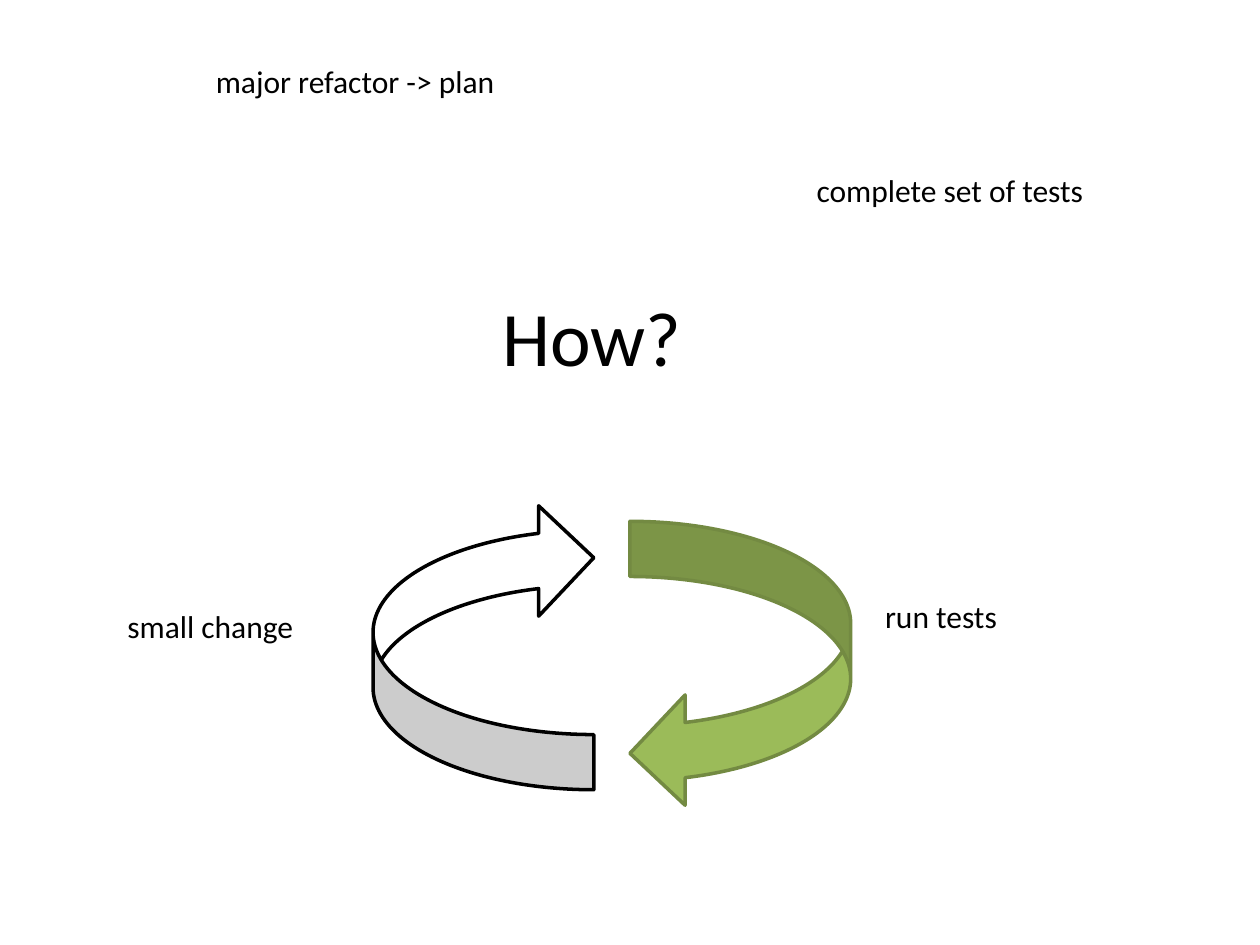
from pptx import Presentation
from pptx.dml.color import RGBColor
from pptx.enum.shapes import MSO_SHAPE
from pptx.enum.text import MSO_ANCHOR, PP_ALIGN
from pptx.util import Cm, Pt

LABEL_W, LABEL_H = 8.48, 2.21
ARROW_W, ARROW_H = 4.45, 5.79


def rgb(value):
    """Return the colour for a hex string."""
    return RGBColor.from_string(value)


def add_text(s, text, x, y, w=LABEL_W, h=LABEL_H, size=18):
    """Add a centred, top-anchored line of text."""
    tf = s.shapes.add_textbox(Cm(x), Cm(y), Cm(w), Cm(h)).text_frame
    tf.word_wrap = True
    tf.vertical_anchor = MSO_ANCHOR.TOP
    tf.text = text
    p = tf.paragraphs[0]
    p.alignment = PP_ALIGN.CENTER
    font = p.runs[0].font
    font.name, font.size = "Calibri", Pt(size)
    font.color.rgb = rgb("000000")


def add_arrow(s, x, y, fill, line, rotation=0):
    """Add one curved half of the cycle."""
    sp = s.shapes.add_shape(MSO_SHAPE.CURVED_LEFT_ARROW,
                            Cm(x), Cm(y), Cm(ARROW_W), Cm(ARROW_H))
    sp.shadow.inherit = False
    sp.rotation = rotation
    sp.fill.solid()
    sp.fill.fore_color.rgb = rgb(fill)
    sp.line.color.rgb = rgb(line)
    sp.line.width = Pt(2)


def add_preparation(s, x, y):
    """Place the two labels for the work that comes first."""
    add_text(s, "major refactor -> plan", x, y)
    add_text(s, "complete set of tests", x + 11.99, y + 2.21)


def add_cycle(s, x, y):
    """Place the loop of small changes and test runs."""
    add_arrow(s, x + 12.7, y + 0.38, "9BBB59", "738A42")
    add_arrow(s, x + 7.52, y, "FFFFFF", "000000", 180)
    add_text(s, "small change", x, y + 1.98)
    add_text(s, "run tests", x + 14.73, y + 1.78)


def main():
    """Build and save the slide."""
    prs = Presentation()
    prs.slide_width, prs.slide_height = Cm(25.4), Cm(19.05)
    s = prs.slides.add_slide(prs.slide_layouts[6])
    add_text(s, "How?", 0.51, 5.72, 22.86, 3.18, 44)
    add_preparation(s, 2.92, 1.12)
    add_cycle(s, 0, 10.13)
    prs.save("out.pptx")


if __name__ == "__main__":
    main()
